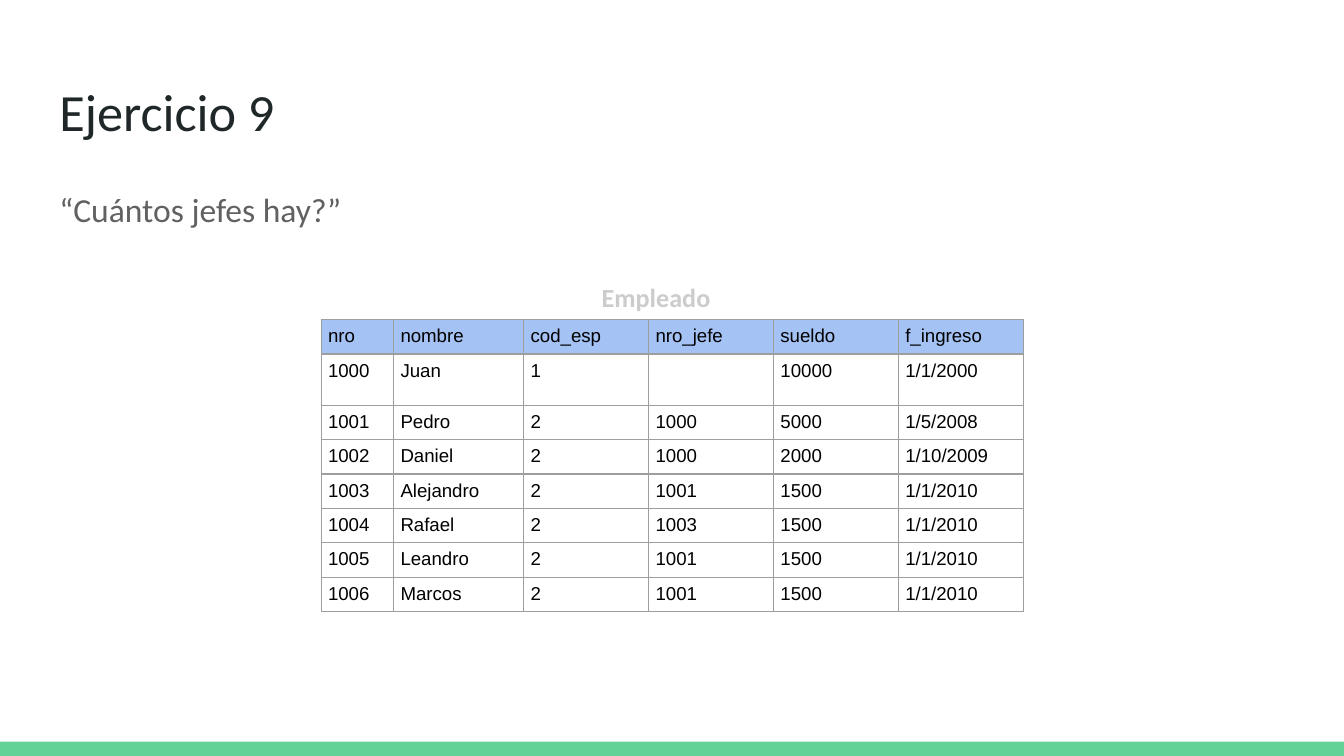
from lxml.etree import SubElement
from pptx import Presentation
from pptx.dml.color import RGBColor
from pptx.enum.shapes import MSO_SHAPE
from pptx.enum.text import MSO_ANCHOR, MSO_AUTO_SIZE, PP_ALIGN
from pptx.oxml.ns import qn
from pptx.util import Cm, Pt

COLORS = {
    "bar": "63D297",
    "title": "202729",
    "body": "616161",
    "caption": "CCCCCC",
    "header": "A4C2F4",
    "border": "9E9E9E",
    "cell": "000000",
}


def write_text(frame, text, font, size, color, align=PP_ALIGN.LEFT, bold=False):
    frame.text = text
    para = frame.paragraphs[0]
    para.alignment = align
    for span in para.runs:
        span.font.name = font
        span.font.size = Pt(size)
        span.font.bold = bold
        span.font.color.rgb = RGBColor.from_string(COLORS[color])
    return para


def place_box(box, left, top, width, height):
    box.left, box.top, box.width, box.height = Cm(left), Cm(top), Cm(width), Cm(height)
    frame = box.text_frame
    frame.word_wrap = True
    frame.auto_size = MSO_AUTO_SIZE.NONE
    frame.vertical_anchor = MSO_ANCHOR.TOP
    frame.margin_left = frame.margin_right = Cm(0.25)
    frame.margin_top = frame.margin_bottom = Cm(0.25)
    return frame


deck = Presentation()
deck.slide_width, deck.slide_height = Cm(25.4), Cm(14.29)
page = deck.slides.add_slide(deck.slide_layouts[1])

# Bottom bar
bar = page.shapes.add_shape(MSO_SHAPE.RECTANGLE, 0, Cm(14.02), deck.slide_width, Cm(0.27))
bar.shadow.inherit = False
bar.fill.solid()
bar.fill.fore_color.rgb = RGBColor.from_string(COLORS["bar"])
bar.line.fill.background()

# Title and question
title_frame = place_box(page.shapes.title, 0.87, 1.24, 23.67, 1.6)
write_text(title_frame, "Ejercicio 9", "Calibri", 28, "title")

body_frame = place_box(page.placeholders[1], 0.87, 3.2, 23.67, 1.4)
question = write_text(body_frame, "“Cuántos jefes hay?”", "Calibri", 18, "body")
question.line_spacing = 1.15
question.space_before, question.space_after = Pt(0), Pt(16)
properties = question._p.get_or_add_pPr()
properties.set("marL", "0")
properties.set("indent", "0")
SubElement(properties, qn("a:buNone"))

# Employee table
rows = [
    ("nro", "nombre", "cod_esp", "nro_jefe", "sueldo", "f_ingreso"),
    ("1000", "Juan", "1", "", "10000", "1/1/2000"),
    ("1001", "Pedro", "2", "1000", "5000", "1/5/2008"),
    ("1002", "Daniel", "2", "1000", "2000", "1/10/2009"),
    ("1003", "Alejandro", "2", "1001", "1500", "1/1/2010"),
    ("1004", "Rafael", "2", "1003", "1500", "1/1/2010"),
    ("1005", "Leandro", "2", "1001", "1500", "1/1/2010"),
    ("1006", "Marcos", "2", "1001", "1500", "1/1/2010"),
]
column_widths = [1.37, 2.46] + [2.36] * 4
row_heights = [0.65, 0.97] + [0.65] * 6
table = page.shapes.add_table(
    len(rows), len(column_widths), Cm(6.07), Cm(6.04),
    Cm(sum(column_widths)), Cm(sum(row_heights)),
).table
table.horz_banding = False
for column, width in zip(table.columns, column_widths):
    column.width = Cm(width)
for row, height in zip(table.rows, row_heights):
    row.height = Cm(height)

for row_index, values in enumerate(rows):
    for column_index, value in enumerate(values):
        cell = table.cell(row_index, column_index)
        cell.margin_left = cell.margin_right = Cm(0.13)
        cell.margin_top = cell.margin_bottom = Cm(0.12)
        cell.vertical_anchor = MSO_ANCHOR.TOP
        para = write_text(cell.text_frame, value, "Arial", 10, "cell")
        if not value:
            SubElement(para._p, qn("a:endParaRPr"), sz="1000")
        # Borders come before the fill in the cell properties
        for side in ("a:lnL", "a:lnR", "a:lnT", "a:lnB"):
            line = SubElement(cell._tc.get_or_add_tcPr(), qn(side), w=str(Pt(0.75)))
            line_fill = SubElement(line, qn("a:solidFill"))
            SubElement(line_fill, qn("a:srgbClr"), val=COLORS["border"])
        if row_index == 0:
            cell.fill.solid()
            cell.fill.fore_color.rgb = RGBColor.from_string(COLORS["header"])
        else:
            cell.fill.background()

# Table caption
caption_box = page.shapes.add_textbox(0, 0, 0, 0)
caption_frame = place_box(caption_box, 9.9, 4.98, 5, 1.07)
caption = write_text(caption_frame, "Empleado", "Calibri", 14, "caption", PP_ALIGN.CENTER, True)
caption.line_spacing = 1.15
caption.space_after = Pt(16)

deck.save("out.pptx")
